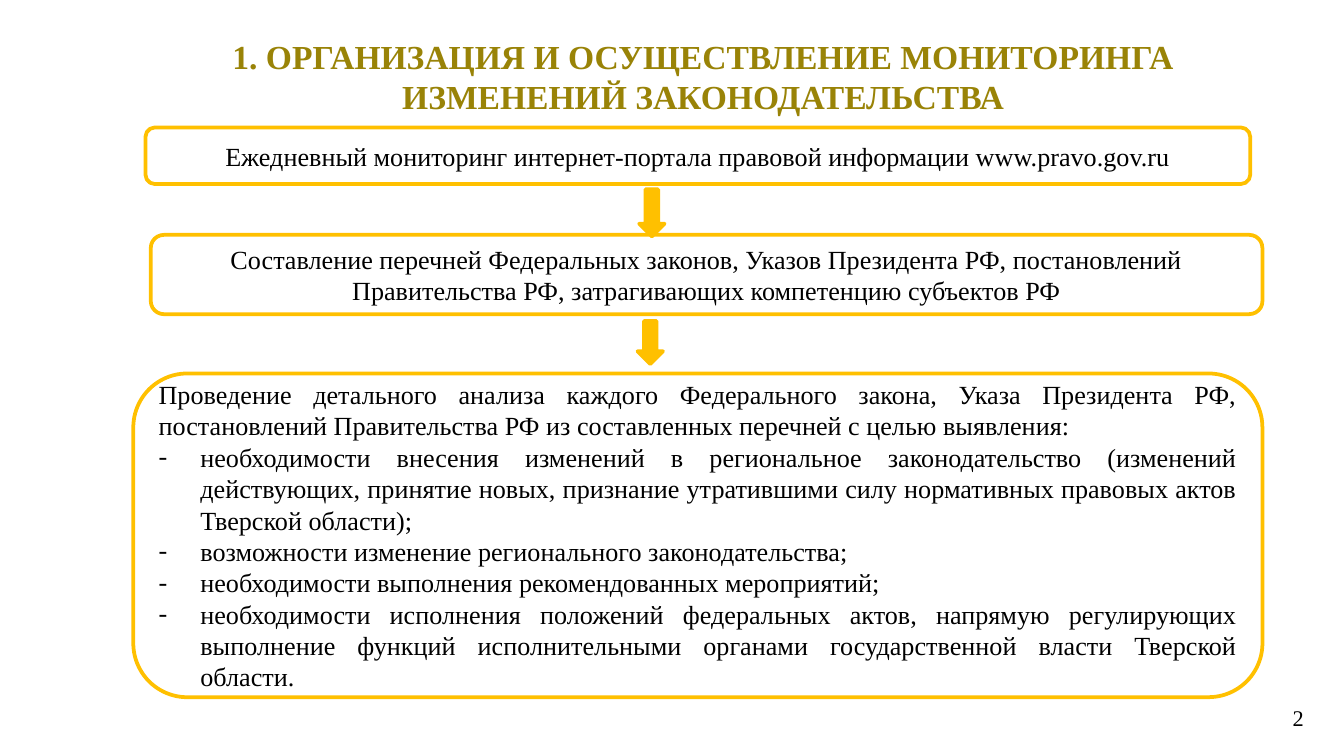
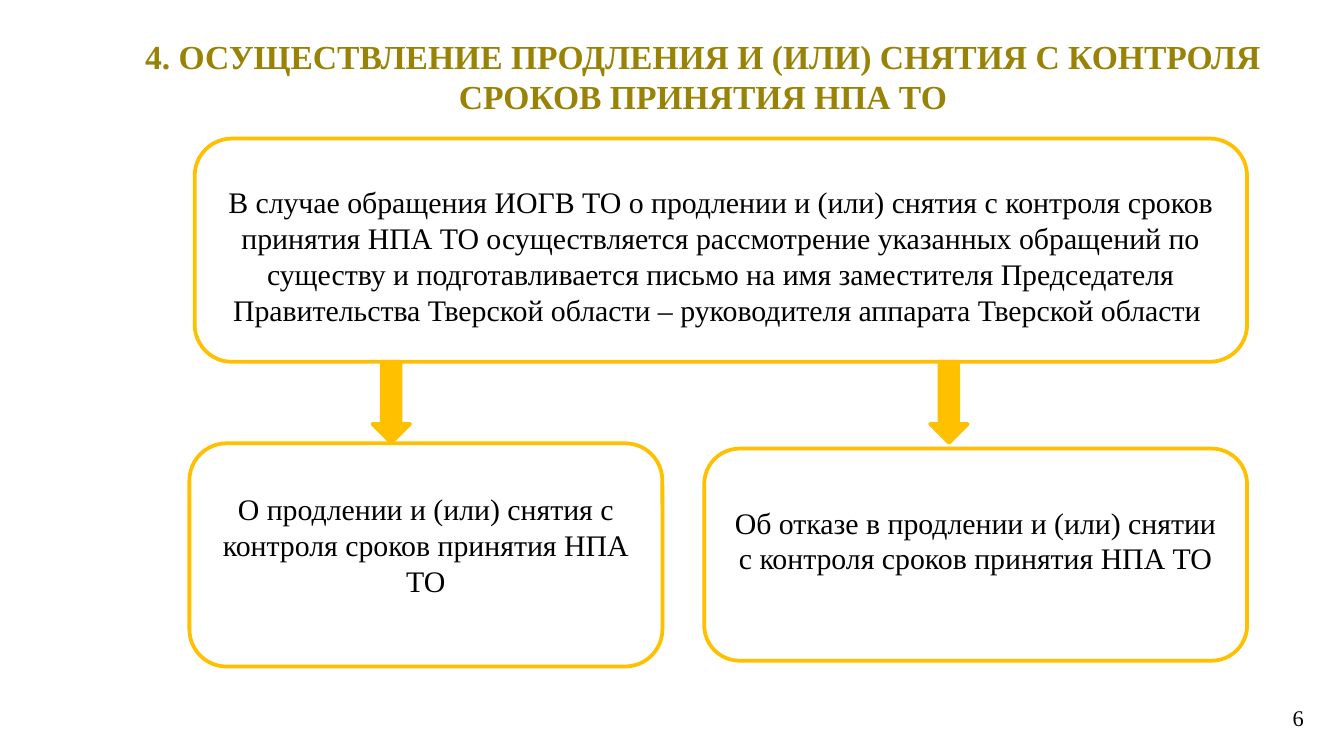
from pptx import Presentation
from pptx import util as u
from pptx.dml.color import RGBColor
from pptx.enum import shapes, text
from pptx.oxml import parse_xml
from pptx.oxml.ns import nsdecls

FONT = "Times New Roman"
OLIVE = RGBColor(0x99, 0x83, 0x07)
AMBER = RGBColor(0xFF, 0xC0, 0x00)
BLACK = RGBColor(0, 0, 0)
CENTER, RIGHT, JUSTIFY = (text.PP_ALIGN.CENTER, text.PP_ALIGN.RIGHT,
                          text.PP_ALIGN.JUSTIFY)
TITLE_BOX = (2.29, 0.74, 22, 1.4)
NUMBER_BOX = (24.24, 13.21, 0.58, 0.86)
INDENT = 0.79


def place(sp, box):
    """Set the position and size of a shape in centimetres."""
    sp.left, sp.top, sp.width, sp.height = (u.Cm(v) for v in box)


def write(sp, lines, size, align=CENTER, color=BLACK, bold=False,
          anchor=text.MSO_ANCHOR.MIDDLE, pad_top=0, pad_bottom=0, side=0.18):
    """Fill a shape with formatted paragraphs."""
    tf = sp.text_frame
    tf.word_wrap = True
    tf.auto_size = text.MSO_AUTO_SIZE.NONE
    tf.vertical_anchor = anchor
    tf.margin_left = tf.margin_right = u.Cm(side)
    tf.margin_top, tf.margin_bottom = u.Cm(0.1 + pad_top), u.Cm(0.1 + pad_bottom)
    tf.text = "\n".join(lines)
    for p in tf.paragraphs:
        p.alignment = align
        p.line_spacing = 1.0
        p.space_before = p.space_after = u.Pt(0)
        for r in p.runs:
            r.font.name, r.font.size, r.font.bold = FONT, u.Pt(size), bold
            r.font.color.rgb = color
    return tf


def add_dash(p):
    """Give a paragraph a hanging dash bullet."""
    pPr = p._p.get_or_add_pPr()
    pPr.set("marL", str(u.Cm(INDENT)))
    pPr.set("indent", str(-u.Cm(INDENT)))
    pPr.append(parse_xml(f'<a:buFont {nsdecls("a")} typeface="{FONT}"/>'))
    pPr.append(parse_xml(f'<a:buChar {nsdecls("a")} char="-"/>'))


def add_outlined(s, kind, box):
    """Add a preset shape with the shared amber outline."""
    sp = s.shapes.add_shape(kind, *(u.Cm(v) for v in box))
    sp.shadow.inherit = False
    sp.fill.background()
    sp.line.color.rgb = AMBER
    sp.line.width = u.Pt(2)
    return sp


def add_step(s, box, lines, size, **style):
    """Add a rounded step box and return its text frame."""
    sp = add_outlined(s, shapes.MSO_SHAPE.ROUNDED_RECTANGLE, box)
    return write(sp, lines, size, **style)


def add_arrow(s, box):
    """Add a filled arrow pointing down."""
    sp = add_outlined(s, shapes.MSO_SHAPE.DOWN_ARROW, box)
    sp.fill.solid()
    sp.fill.fore_color.rgb = AMBER


def add_slide(prs, title, number):
    """Add a slide with the shared title and page number."""
    s = prs.slides.add_slide(prs.slide_layouts[5])
    place(s.shapes.title, TITLE_BOX)
    write(s.shapes.title, [title], 18, color=OLIVE, bold=True)
    sp = s.shapes.add_textbox(*(u.Cm(v) for v in NUMBER_BOX))
    write(sp, [number], 12, align=RIGHT, anchor=text.MSO_ANCHOR.TOP)
    return s


def add_monitoring(s, box):
    """Lay out the three monitoring steps from top to bottom."""
    x, y, w, h = box
    add_step(s, (x + 0.23, y, 20.88, 1.07),
             ["Ежедневный мониторинг интернет-портала правовой информации "
              "www.pravo.gov.ru"], 14)
    add_step(s, (x + 0.33, y + 2.03, w - 0.33, 1.5),
             ["Составление перечней Федеральных законов, Указов Президента РФ, "
              "постановлений Правительства РФ, затрагивающих компетенцию "
              "субъектов РФ"], 14)
    tf = add_step(s, (x, y + 4.65, w, h - 4.65), [
        "Проведение детального анализа каждого Федерального закона, Указа "
        "Президента РФ, постановлений Правительства РФ из составленных "
        "перечней с целью выявления:",
        "необходимости внесения изменений в региональное законодательство "
        "(изменений действующих, принятие новых, признание утратившими силу "
        "нормативных правовых актов Тверской области);",
        "возможности изменение регионального законодательства;",
        "необходимости выполнения рекомендованных мероприятий;",
        "необходимости исполнения положений федеральных актов, напрямую "
        "регулирующих выполнение функций исполнительными органами "
        "государственной власти Тверской области.",
    ], 14, align=JUSTIFY)
    for p in tf.paragraphs[1:]:
        add_dash(p)
    add_arrow(s, (x + 9.56, y + 1.17, 0.48, 0.89))
    add_arrow(s, (x + 9.53, y + 3.66, 0.48, 0.81))


def add_decision(s, box):
    """Lay out the request box and its two outcomes below."""
    x, y, w, h = box
    add_step(s, (x + 0.1, y, w - 0.1, 4.22),
             ["В случае обращения ИОГВ ТО о продлении и (или) снятия с контроля "
              "сроков принятия НПА ТО осуществляется рассмотрение указанных "
              "обращений по существу и подготавливается письмо на имя "
              "заместителя Председателя Правительства Тверской области – "
              "руководителя аппарата Тверской области "], 16, pad_top=0.21)
    add_step(s, (x, y + h - 4.22, 8.94, 4.22),
             ["О продлении и (или) снятия с контроля сроков принятия НПА ТО"],
             16, pad_bottom=0.4)
    add_step(s, (x + w - 10.26, y + h - 4.12, 10.26, 4.01),
             ["Об отказе в продлении и (или) снятии с контроля сроков принятия "
              "НПА ТО"], 16, pad_bottom=0.55, side=0.28)
    for dx in (3.46, 14):
        add_arrow(s, (x + dx, y + 4.22, 0.71, 1.53))


prs = Presentation()
prs.slide_width, prs.slide_height = u.Cm(25.4), u.Cm(14.29)
add_monitoring(add_slide(
    prs, "1. ОРГАНИЗАЦИЯ И ОСУЩЕСТВЛЕНИЕ МОНИТОРИНГА ИЗМЕНЕНИЙ "
    "ЗАКОНОДАТЕЛЬСТВА", "2"), (2.52, 2.41, 21.34, 10.77))
add_decision(add_slide(
    prs, "4. ОСУЩЕСТВЛЕНИЕ ПРОДЛЕНИЯ И (ИЛИ) СНЯТИЯ С КОНТРОЛЯ СРОКОВ "
    "ПРИНЯТИЯ НПА ТО", "6"), (3.58, 2.62, 19.99, 9.98))
prs.save("out.pptx")
